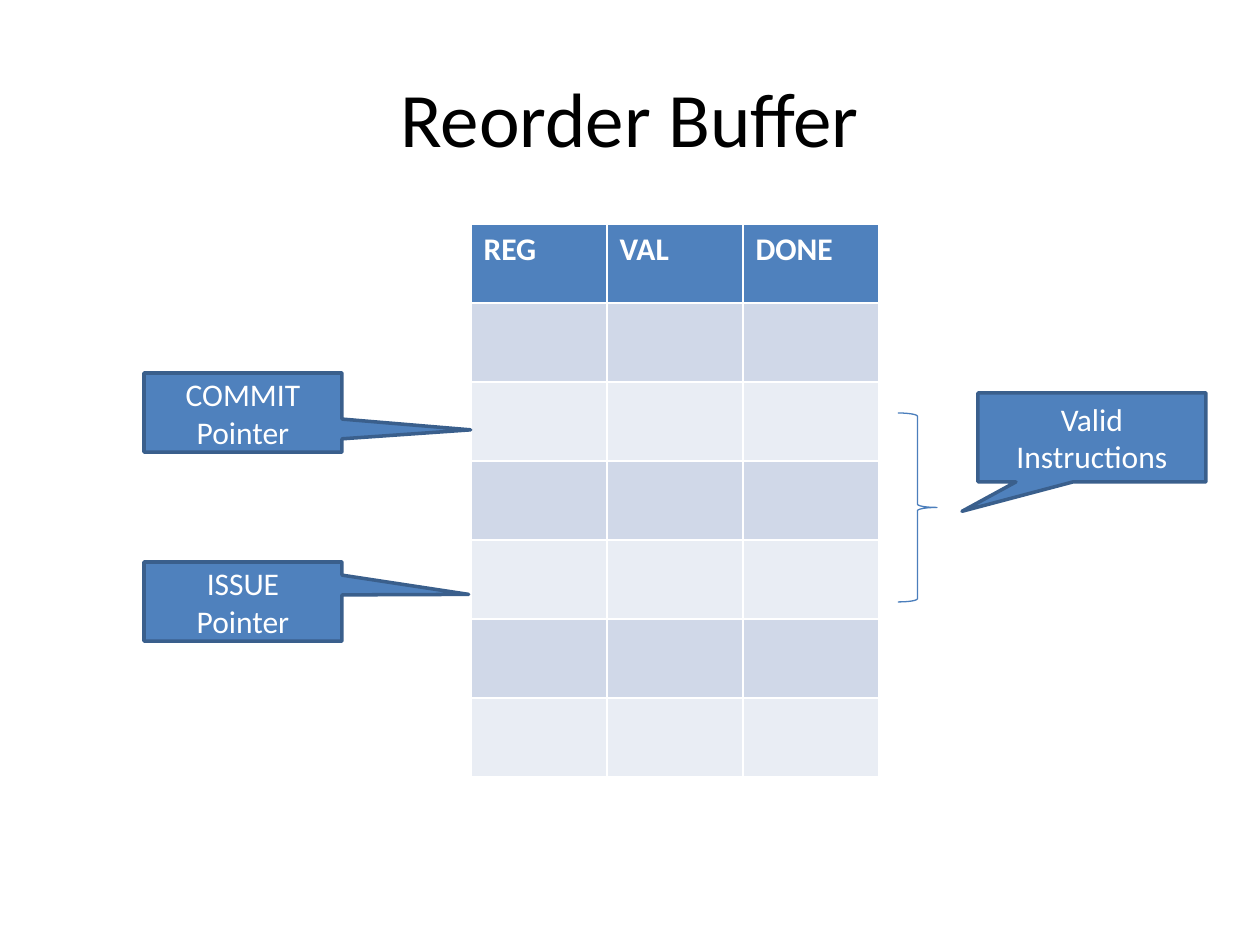
import pptx
import pptx.dml.color
import pptx.enum.shapes
import pptx.enum.text
import pptx.util

SCALE = 914400 / 126
FONT = "Calibri"
COLORS = {
    "title": "000000",
    "light": "FFFFFF",
    "accent": "4F81BD",
    "outline": "3A5F8C",
    "brace": "4B7EBC",
    "odd_row": "D0D8E8",
    "even_row": "E9EDF4",
}
SHAPES = pptx.enum.shapes.MSO_SHAPE
CENTER = pptx.enum.text.PP_ALIGN.CENTER
MIDDLE = pptx.enum.text.MSO_ANCHOR.MIDDLE


def px(length):
    return pptx.util.Emu(round(length * SCALE))


def color(name):
    return pptx.dml.color.RGBColor.from_string(COLORS[name])


def set_values(target, values):
    for key, value in values.items():
        setattr(target, key, value)


def fill_solid(target, name):
    target.fill.solid()
    target.fill.fore_color.rgb = color(name)


def write(frame, text, size, color_name, bold=False, align=None):
    frame.text = text
    for paragraph in frame.paragraphs:
        paragraph.alignment = align
        set_values(paragraph.font, {"name": FONT, "size": pptx.util.Pt(size), "bold": bold})
        paragraph.font.color.rgb = color(color_name)


def add_title(slide, text):
    title = slide.shapes.title
    set_values(title, {"left": px(63), "top": px(38), "width": px(1134), "height": px(158)})
    write(title.text_frame, text, 44, "title", align=CENTER)
    title.text_frame.vertical_anchor = MIDDLE


def add_buffer_table(slide, headings, entries):
    column_width, row_height = 136, 79
    rows, columns = entries + 1, len(headings)
    buffer = slide.shapes.add_table(
        rows, columns, px(471), px(224), px(column_width * columns), px(row_height * rows)
    ).table
    for row_index, row in enumerate(buffer.rows):
        row.height = px(row_height)
        fill_name = "odd_row" if row_index % 2 else "even_row"
        for cell in row.cells:
            fill_solid(cell, fill_name if row_index else "accent")
    for column_index, heading in enumerate(headings):
        header_cell = buffer.cell(0, column_index)
        write(header_cell.text_frame, heading, 18, "light", bold=True)


def add_outlined(slide, kind, box, adjustments, line_name, line_width):
    shape = slide.shapes.add_shape(kind, *map(px, box))
    shape.shadow.inherit = False
    for index, value in enumerate(adjustments):
        shape.adjustments[index] = value
    shape.line.color.rgb = color(line_name)
    shape.line.width = pptx.util.Pt(line_width)
    return shape


def add_callout(slide, text, box, tip):
    callout = add_outlined(slide, SHAPES.RECTANGULAR_CALLOUT, box, tip, "outline", 2)
    fill_solid(callout, "accent")
    write(callout.text_frame, text, 18, "light", align=CENTER)
    set_values(callout.text_frame, {"word_wrap": True, "vertical_anchor": MIDDLE})


def add_brace(slide, box):
    brace = add_outlined(slide, SHAPES.RIGHT_BRACE, box, (), "brace", 0.75)
    brace.fill.background()


def main():
    deck = pptx.Presentation()
    set_values(deck, {"slide_width": px(1260), "slide_height": px(945)})
    slide = deck.slides.add_slide(deck.slide_layouts[5])
    add_title(slide, "Reorder Buffer")
    add_buffer_table(slide, ("REG", "VAL", "DONE"), 6)
    add_callout(slide, "COMMIT\nPointer", (144, 373, 198, 79), (1.15, 0.22))
    add_callout(slide, "ISSUE\nPointer", (144, 562, 198, 79), (1.14, -0.09))
    add_brace(slide, (898, 413, 39, 189))
    add_callout(slide, "Valid Instructions", (978, 393, 228, 89), (-0.57, 0.83))
    deck.save("out.pptx")


if __name__ == "__main__":
    main()
